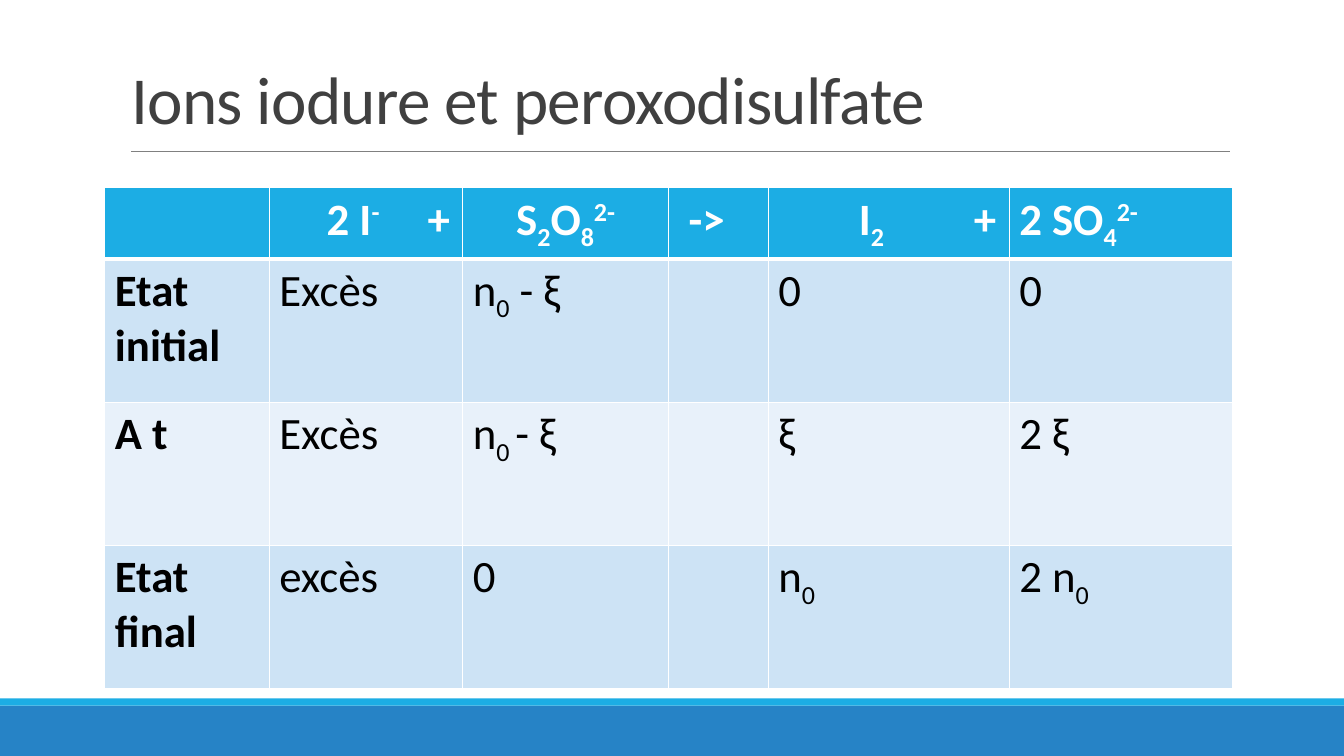
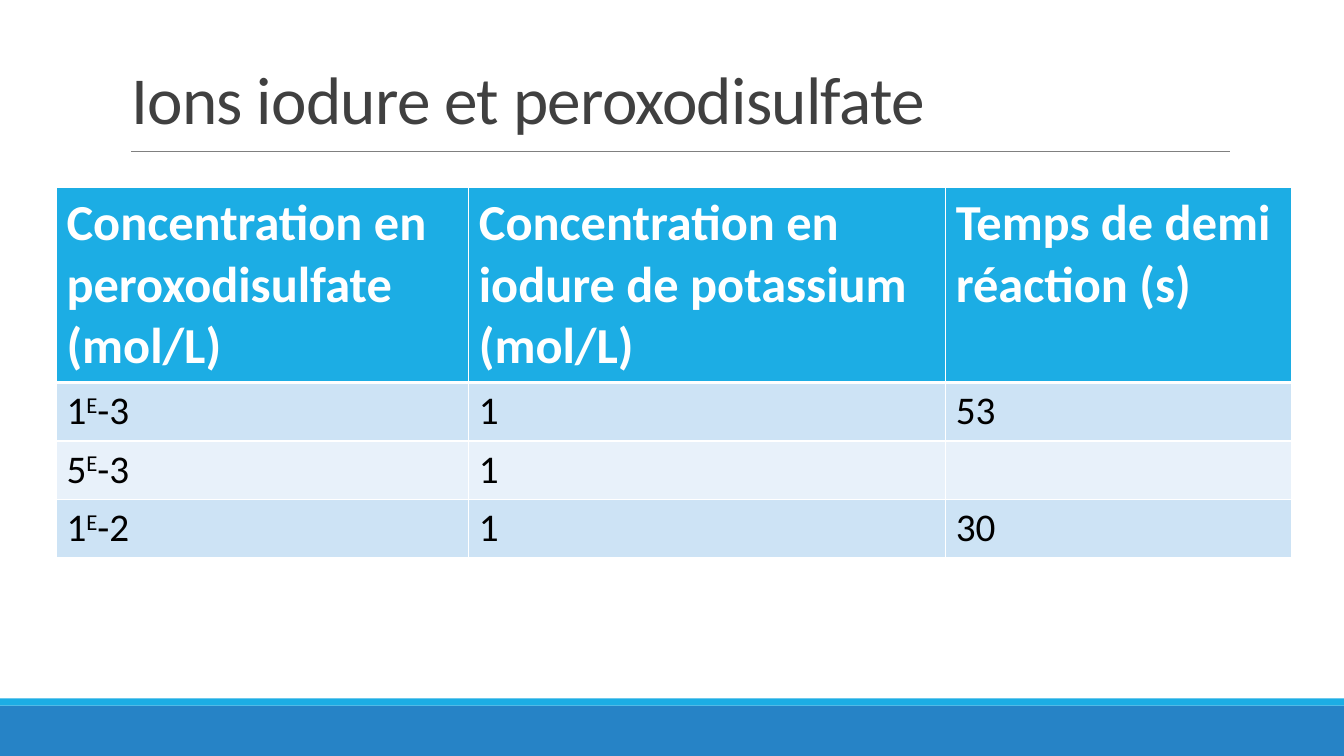
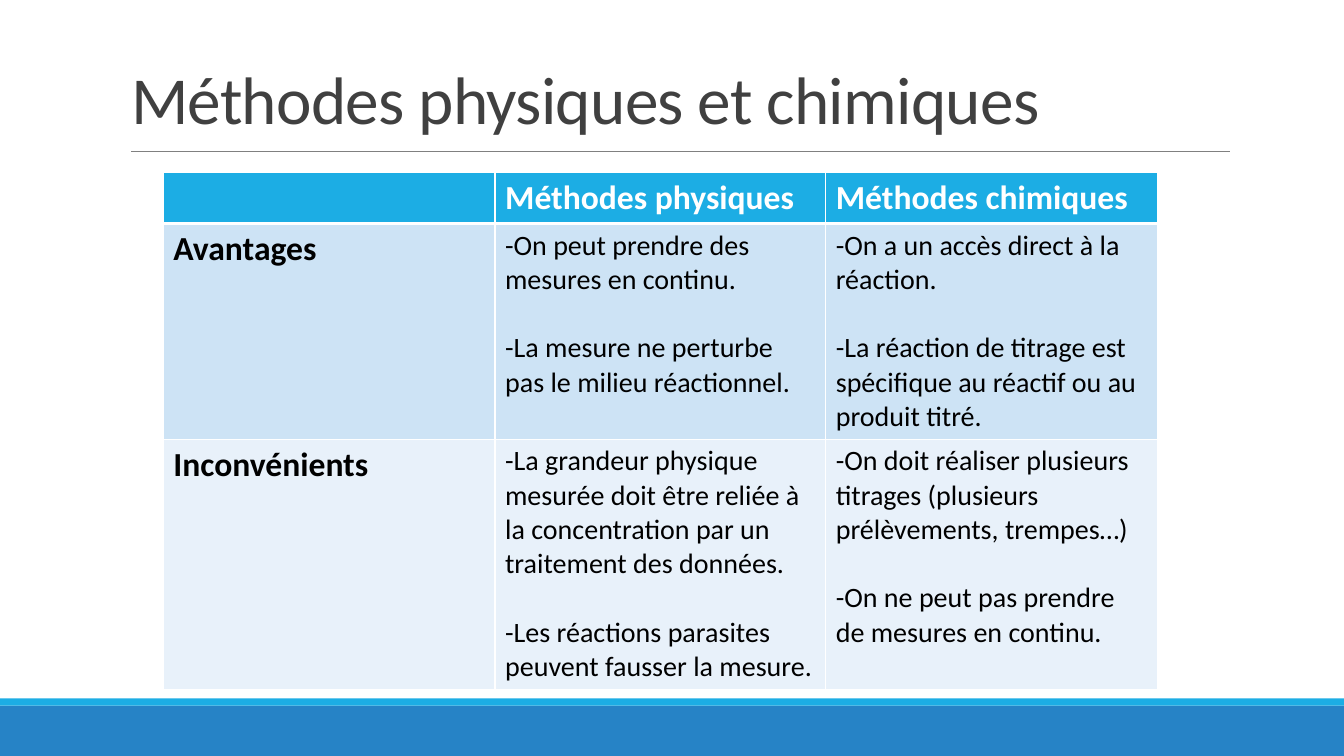
from dataclasses import dataclass
from typing import Any, NamedTuple

from lxml import etree
from pptx import Presentation
from pptx import util as u
from pptx.dml import color
from pptx.enum import shapes, text
from pptx.oxml import ns


@dataclass(frozen=True)
class Theme:
    font: str = "Calibri"
    band: color.RGBColor = color.RGBColor.from_string("2683C6")
    accent: color.RGBColor = color.RGBColor.from_string("1CADE4")
    rule: color.RGBColor = color.RGBColor.from_string("808080")
    title: color.RGBColor = color.RGBColor.from_string("404040")
    header: color.RGBColor = color.RGBColor.from_string("FFFFFF")
    border: color.RGBColor = color.RGBColor.from_string("FFFFFF")
    body: color.RGBColor = color.RGBColor.from_string("000000")
    odd_row: color.RGBColor = color.RGBColor.from_string("CDE3F5")
    even_row: color.RGBColor = color.RGBColor.from_string("E8F1FA")
    title_size: int = 48


THEME = Theme()
ALIGN = text.PP_ALIGN


class Run(NamedTuple):
    text: str
    baseline: int = 0


class Band(NamedTuple):
    top: float
    height: float
    fill: color.RGBColor


@dataclass(frozen=True)
class Cell:
    paragraphs: tuple[tuple[Run, ...], ...] = ()
    align: Any = ALIGN.LEFT
    tabs: tuple[float, ...] = ()
    bullet: str = ""


@dataclass(frozen=True)
class TableSlide:
    title: str
    left: float
    top: float
    columns: tuple[float, ...]
    rows: tuple[float, ...]
    cells: tuple[tuple[Cell, ...], ...]
    header_size: int
    label_size: int
    body_size: int
    bold_labels: bool = True


def sub(content: str) -> Run:
    return Run(content, -25000)


def sup(content: str) -> Run:
    return Run(content, 30000)


def cell(*parts: str | Run, **options: Any) -> Cell:
    runs = tuple(Run(part) if isinstance(part, str) else part for part in parts)
    return Cell((runs,) if runs else (), **options)


def points(*lines: str, bullet: str = "-") -> Cell:
    return Cell(tuple((Run(line),) for line in lines), bullet=bullet)


def power(digit: str, exponent: str) -> Cell:
    return cell(digit, sup("E"), exponent)


BANDS = (Band(7, 0.5, THEME.band), Band(6.93, 0.07, THEME.accent))

SLIDES = (
    TableSlide(
        title="Ions iodure et peroxodisulfate",
        left=1.04,
        top=1.86,
        columns=(1.63, 1.92, 2.04, 0.99, 2.39, 2.22),
        rows=(0.71, 1.42, 1.42, 1.42),
        header_size=32,
        label_size=32,
        body_size=32,
        cells=(
            (
                cell(),
                cell("\t2 I", sup("-"), "\t+", tabs=(0.47, 1.47)),
                cell("S", sub("2"), "O", sub("8"), sup("2-"), align=ALIGN.CENTER),
                cell(" ->"),
                cell("\tI", sub("2"), "\t+", tabs=(0.8, 1.94)),
                cell("2 SO", sub("4"), sup("2-")),
            ),
            (cell("Etat initial"), cell("Excès"), cell("n", sub("0"), " - ξ"),
             cell(), cell("0"), cell("0")),
            (cell("A t"), cell("Excès"), cell("n", sub("0 "), "- ξ"),
             cell(), cell("ξ"), cell("2 ξ")),
            (cell("Etat final"), cell("excès"), cell("0"),
             cell(), cell("n", sub("0")), cell("2 n", sub("0"))),
        ),
    ),
    TableSlide(
        title="Ions iodure et peroxodisulfate",
        left=0.56,
        top=1.86,
        columns=(4.09, 4.73, 3.43),
        rows=(1.93, 0.58, 0.58, 0.57),
        header_size=36,
        label_size=28,
        body_size=28,
        bold_labels=False,
        cells=(
            (cell("Concentration en peroxodisulfate (mol/L)"),
             cell("Concentration en iodure de potassium (mol/L)"),
             cell("Temps de demi réaction (s)")),
            (power("1", "-3"), cell("1"), cell("53")),
            (power("5", "-3"), cell("1"), cell()),
            (power("1", "-2"), cell("1"), cell("30")),
        ),
    ),
    TableSlide(
        title="Méthodes physiques et chimiques",
        left=1.62,
        top=1.71,
        columns=(3.29, 3.28, 3.29),
        rows=(0.5, 2.14, 2.48),
        header_size=24,
        label_size=24,
        body_size=20,
        cells=(
            (cell(), cell("Méthodes physiques"), cell("Méthodes chimiques")),
            (
                cell("Avantages"),
                points("On peut prendre des mesures en continu.",
                       "La mesure ne perturbe pas le milieu réactionnel."),
                points("On a un accès direct à la réaction.",
                       "La réaction de titrage est spécifique au réactif ou au produit titré."),
            ),
            (
                cell("Inconvénients"),
                points("La grandeur physique mesurée doit être reliée à la concentration "
                       "par un traitement des données.",
                       "Les réactions parasites peuvent fausser la mesure."),
                points("-On doit réaliser plusieurs titrages (plusieurs prélèvements, trempes…)",
                       "-On ne peut pas prendre de mesures en continu.", bullet=""),
            ),
        ),
    ),
)


def apply_format(target: Any, values: dict[str, Any]) -> None:
    for name, value in values.items():
        setattr(target, name, value)


def write_run(paragraph: Any, run: Run, size: int, fill: color.RGBColor, bold: bool) -> Any:
    piece = paragraph.add_run()
    piece.text = run.text
    apply_format(piece.font, {"name": THEME.font, "size": u.Pt(size), "bold": bold})
    piece.font.color.rgb = fill
    properties = piece._r.get_or_add_rPr()
    if run.baseline:
        properties.set("baseline", str(run.baseline))
    return properties


def add_bands(slide: Any) -> None:
    decorations = []
    for band in BANDS:
        shape = slide.shapes.add_shape(
            shapes.MSO_SHAPE.RECTANGLE,
            u.Inches(0), u.Inches(band.top), u.Inches(13.33), u.Inches(band.height),
        )
        shape.shadow.inherit = False
        shape.fill.solid()
        shape.fill.fore_color.rgb = band.fill
        shape.line.fill.background()
        decorations.append(shape)
    rule = slide.shapes.add_connector(
        shapes.MSO_CONNECTOR.STRAIGHT,
        u.Inches(1.3), u.Inches(1.5), u.Inches(12.2), u.Inches(1.5),
    )
    rule.line.color.rgb = THEME.rule
    rule.line.width = u.Pt(0.5)
    etree.SubElement(rule.element.spPr, ns.qn("a:effectLst"))
    decorations.append(rule)
    layout_tree = slide.slide_layout.shapes.element
    for number, shape in enumerate(decorations, start=20):
        shape.element.xpath(".//p:cNvPr")[0].set("id", str(number))
        layout_tree.append(shape.element)


def write_title(slide: Any, title: str) -> None:
    placeholder = slide.shapes.title
    apply_format(placeholder, {
        "left": u.Inches(1.2), "top": u.Inches(0.31),
        "width": u.Inches(11), "height": u.Inches(1.11),
    })
    frame = placeholder.text_frame
    apply_format(frame, {
        "word_wrap": True,
        "auto_size": text.MSO_AUTO_SIZE.NONE,
        "vertical_anchor": text.MSO_ANCHOR.BOTTOM,
    })
    paragraph = frame.paragraphs[0]
    apply_format(paragraph, {"alignment": ALIGN.LEFT, "line_spacing": 0.85})
    properties = write_run(paragraph, Run(title), THEME.title_size, THEME.title, False)
    properties.set("spc", "-50")


def add_marks(paragraph: Any, content: Cell) -> None:
    properties = paragraph._p.get_or_add_pPr()
    if content.bullet:
        properties.set("marL", "0")
        properties.set("indent", "0")
        etree.SubElement(properties, ns.qn("a:buFont"), typeface=THEME.font)
        etree.SubElement(properties, ns.qn("a:buChar"), char=content.bullet)
    if content.tabs:
        stops = etree.SubElement(properties, ns.qn("a:tabLst"))
        for position in content.tabs:
            etree.SubElement(stops, ns.qn("a:tab"), pos=str(u.Inches(position)), algn="l")


def set_borders(target: Any, widths: dict[str, float]) -> None:
    properties = target._tc.get_or_add_tcPr()
    for index, (side, width) in enumerate(widths.items()):
        line = etree.Element(ns.qn(f"a:ln{side}"), w=str(u.Pt(width)))
        fill = etree.SubElement(line, ns.qn("a:solidFill"))
        etree.SubElement(fill, ns.qn("a:srgbClr"), val=str(THEME.border))
        properties.insert(index, line)


def write_cell(target: Any, content: Cell, size: int, fill: color.RGBColor, bold: bool) -> None:
    frame = target.text_frame
    for index, runs in enumerate(content.paragraphs):
        paragraph = frame.add_paragraph() if index else frame.paragraphs[0]
        paragraph.alignment = content.align
        if index:
            paragraph.space_before = u.Pt(size * 1.22)
        add_marks(paragraph, content)
        for run in runs:
            write_run(paragraph, run, size, fill, bold)


def add_data_table(slide: Any, layout: TableSlide) -> None:
    table = slide.shapes.add_table(
        len(layout.rows), len(layout.columns),
        u.Inches(layout.left), u.Inches(layout.top),
        u.Inches(sum(layout.columns)), u.Inches(sum(layout.rows)),
    ).table
    for column, width in zip(table.columns, layout.columns):
        column.width = u.Inches(width)
    for row, height in zip(table.rows, layout.rows):
        row.height = u.Inches(height)
    for row_index, row_cells in enumerate(layout.cells):
        header = row_index == 0
        row_fill = THEME.odd_row if row_index % 2 else THEME.even_row
        borders = {"L": 1, "R": 1, "T": 3 if row_index == 1 else 1, "B": 3 if header else 1}
        for column_index, content in enumerate(row_cells):
            label = column_index == 0
            target = table.cell(row_index, column_index)
            target.fill.solid()
            target.fill.fore_color.rgb = THEME.accent if header else row_fill
            set_borders(target, borders)
            body_size = layout.label_size if label else layout.body_size
            write_cell(
                target, content,
                layout.header_size if header else body_size,
                THEME.header if header else THEME.body,
                header or (label and layout.bold_labels),
            )


def main() -> None:
    presentation = Presentation()
    apply_format(presentation, {"slide_width": u.Inches(13.33), "slide_height": u.Inches(7.5)})
    title_only = presentation.slide_layouts[5]
    for index, content in enumerate(SLIDES):
        slide = presentation.slides.add_slide(title_only)
        if index == 0:
            add_bands(slide)
        write_title(slide, content.title)
        add_data_table(slide, content)
    presentation.save("out.pptx")


if __name__ == "__main__":
    main()
